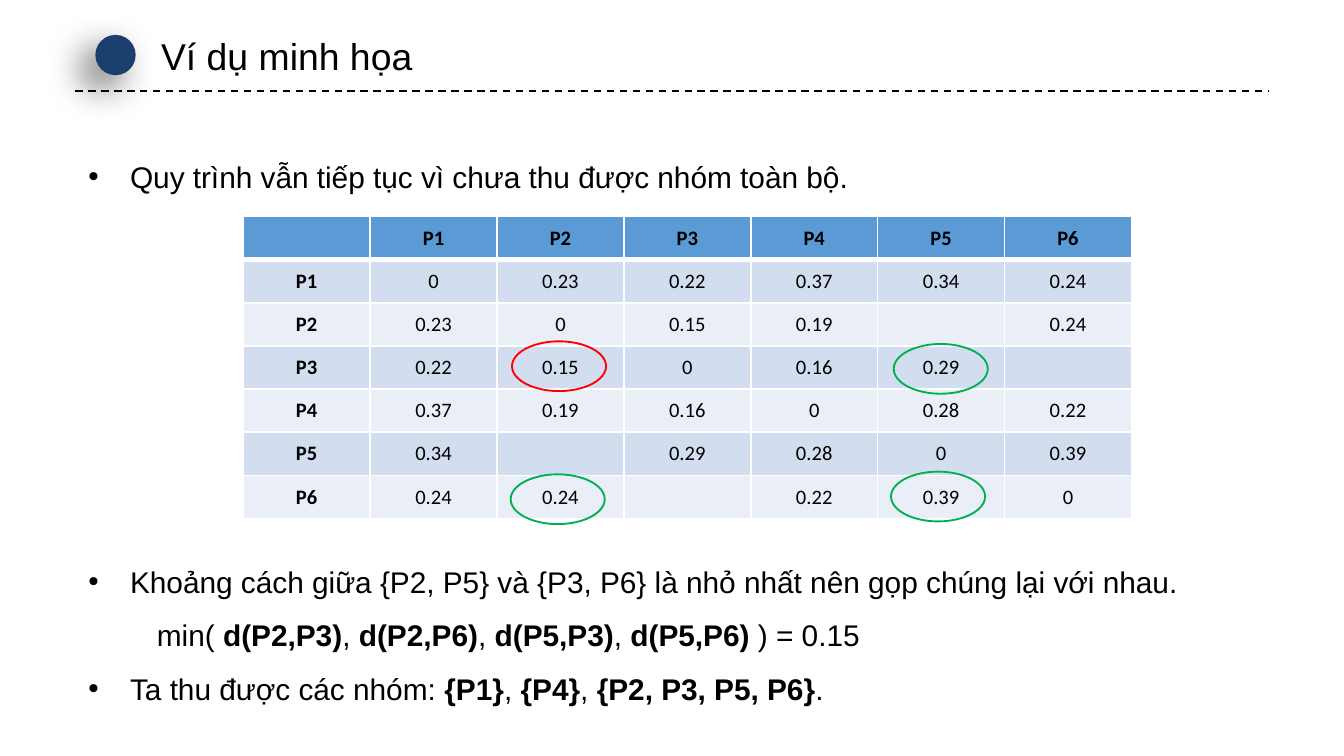
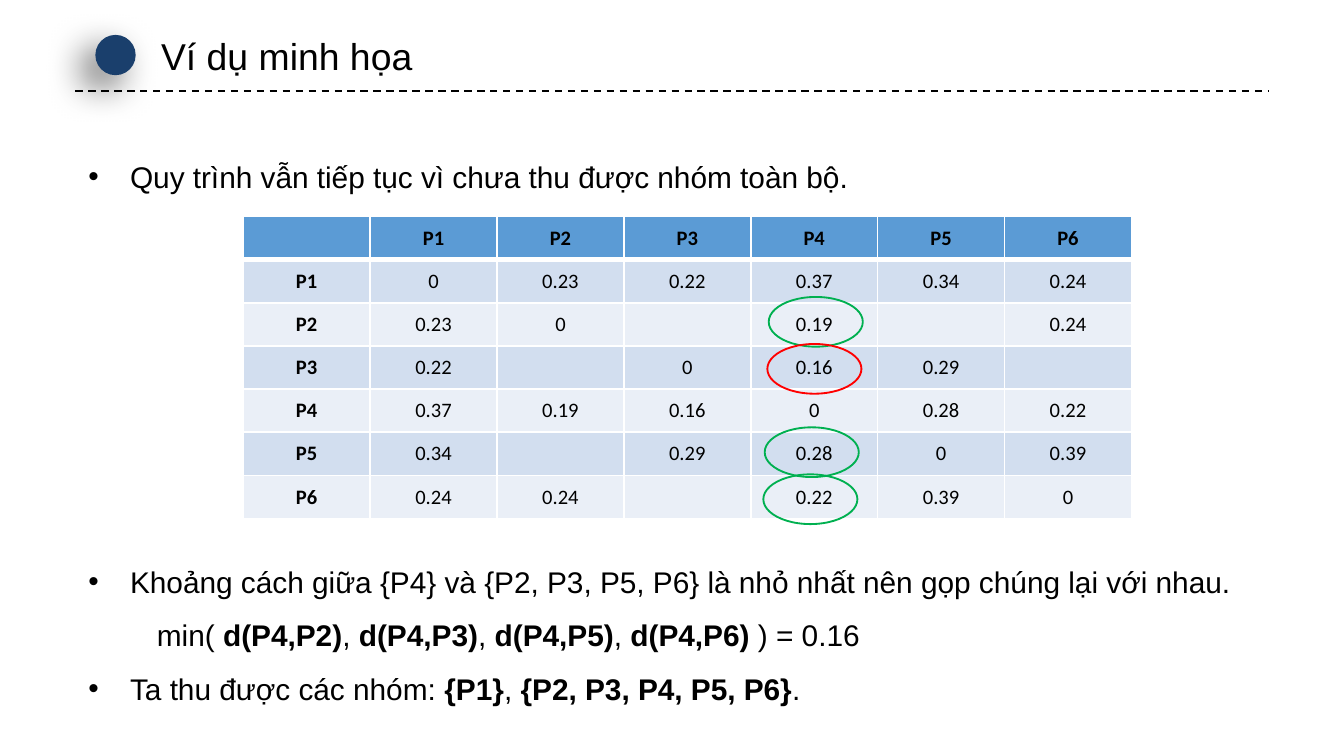
from dataclasses import dataclass

from lxml import etree
from pptx import Presentation
from pptx import util as u
from pptx.dml.color import RGBColor
from pptx.enum import dml, shapes, text
from pptx.oxml import ns

Inches, Pt = u.Inches, u.Pt


@dataclass(frozen=True)
class Theme:
    ink: str = "000000"
    navy: str = "1A3F6C"
    header: str = "5B9BD5"
    bands: tuple = ("D2DEEF", "EAEFF7")
    border: str = "FFFFFF"
    minimum: str = "FF0000"
    candidate: str = "00B050"
    body_font: str = "Arial"
    table_font: str = "Calibri"
    title_size: int = 20
    body_size: int = 16
    table_size: int = 11
    margin: float = 0.56
    content_width: float = 8.87


@dataclass(frozen=True)
class Bullet:
    """A body paragraph; asterisks enclose its bold parts."""
    content: str
    marked: bool = True


@dataclass(frozen=True)
class Ring:
    left: float
    top: float
    color: str


@dataclass(frozen=True)
class MergeStep:
    merged_pairs: tuple
    conclusions: tuple
    rings: tuple


THEME = Theme()
TITLE = "Ví dụ minh họa"
INTRO = Bullet("Quy trình vẫn tiếp tục vì chưa thu được nhóm toàn bộ.")
POINTS = ("P1", "P2", "P3", "P4", "P5", "P6")
# Each row holds the distances from one point to the points after it.
UPPER_DISTANCES = (
    ("0.23", "0.22", "0.37", "0.34", "0.24"),
    ("0.15", "0.19", "", "0.24"),
    ("0.16", "0.29", ""),
    ("0.28", "0.22"),
    ("0.39",),
)
STEPS = (
    MergeStep(
        merged_pairs=(),
        conclusions=(
            Bullet("Khoảng cách giữa {P2, P5} và {P3, P6} là nhỏ nhất nên gọp chúng lại với nhau."),
            Bullet("min( *d(P2,P3)*, *d(P2,P6)*, *d(P5,P3)*, *d(P5,P6)* ) = 0.15", marked=False),
            Bullet("Ta thu được các nhóm: *{P1}*, *{P4}*, *{P2, P3, P5, P6}*."),
        ),
        rings=(
            Ring(3.81, 2.54, THEME.minimum),
            Ring(3.8, 3.53, THEME.candidate),
            Ring(6.65, 2.56, THEME.candidate),
            Ring(6.63, 3.51, THEME.candidate),
        ),
    ),
    MergeStep(
        merged_pairs=(("P2", "P3"),),
        conclusions=(
            Bullet("Khoảng cách giữa {P4} và {P2, P3, P5, P6} là nhỏ nhất nên gọp chúng lại với nhau."),
            Bullet("min( *d(P4,P2)*, *d(P4,P3)*, *d(P4,P5)*, *d(P4,P6)* ) = 0.16", marked=False),
            Bullet("Ta thu được các nhóm: *{P1}*, *{P2, P3, P4, P5, P6}*."),
        ),
        rings=(
            Ring(5.72, 2.21, THEME.candidate),
            Ring(5.71, 2.56, THEME.minimum),
            Ring(5.69, 3.18, THEME.candidate),
            Ring(5.68, 3.53, THEME.candidate),
        ),
    ),
)


def add_element(parent, tag: str, **attributes):
    return etree.SubElement(parent, ns.qn(tag), attributes)


def style_font(font, name: str, size: int, bold: bool = False) -> None:
    font.name = name
    font.size = Pt(size)
    font.bold = bold
    font.color.rgb = RGBColor.from_string(THEME.ink)


def add_ellipse(slide, left: float, top: float, width: float, height: float):
    shape = slide.shapes.add_shape(
        shapes.MSO_SHAPE.OVAL, Inches(left), Inches(top), Inches(width), Inches(height))
    shape.shadow.inherit = False
    return shape


def add_text_frame(slide, left: float, top: float, width: float, height: float):
    box = slide.shapes.add_textbox(Inches(left), Inches(top), Inches(width), Inches(height))
    frame = box.text_frame
    frame.word_wrap = True
    frame.auto_size = text.MSO_AUTO_SIZE.SHAPE_TO_FIT_TEXT
    return frame


def add_heading(slide) -> None:
    """Draw the dashed rule, the shadowed dot and the title."""
    rule = slide.shapes.add_connector(
        shapes.MSO_CONNECTOR.STRAIGHT, Inches(THEME.margin), Inches(0.68), Inches(9.44), Inches(0.68))
    rule.line.color.rgb = RGBColor.from_string(THEME.ink)
    rule.line.width = Pt(1)
    rule.line.dash_style = dml.MSO_LINE.DASH
    add_element(rule._element.spPr, "a:effectLst")

    dot = add_ellipse(slide, 0.71, 0.26, 0.3, 0.3)
    dot.fill.solid()
    dot.fill.fore_color.rgb = RGBColor.from_string(THEME.navy)
    dot.line.fill.background()
    effects = dot._element.spPr.find(ns.qn("a:effectLst"))
    shadow = add_element(effects, "a:outerShdw", blurRad=str(Pt(20)), dist=str(Pt(10)),
                         dir=str(135 * 60000), algn="tr", rotWithShape="0")
    shadow_color = add_element(shadow, "a:srgbClr", val=THEME.ink)
    add_element(shadow_color, "a:alpha", val="60000")

    frame = add_text_frame(slide, 1.1, 0.2, 2.09, 0.44)
    frame.word_wrap = False
    frame.text = TITLE
    style_font(frame.paragraphs[0].runs[0].font, THEME.body_font, THEME.title_size)


def add_bullets(slide, top: float, height: float, bullets: tuple[Bullet, ...]) -> None:
    frame = add_text_frame(slide, THEME.margin, top, THEME.content_width, height)
    for index, bullet in enumerate(bullets):
        paragraph = frame.add_paragraph() if index else frame.paragraphs[0]
        paragraph.line_spacing = 1.5
        properties = paragraph._p.get_or_add_pPr()
        properties.set("marL", str(Inches(0.31 if bullet.marked else 0.51)))
        properties.set("indent", str(Inches(-0.31 if bullet.marked else 0)))
        if bullet.marked:
            add_element(properties, "a:buFont", typeface=THEME.body_font)
            add_element(properties, "a:buChar", char="•")
        else:
            add_element(properties, "a:buNone")
        for position, part in enumerate(bullet.content.split("*")):
            run = paragraph.add_run()
            run.text = part
            style_font(run.font, THEME.body_font, THEME.body_size, bold=position % 2 == 1)


def distance_rows(merged_pairs: tuple) -> list[list[str]]:
    """Mirror the upper distances into a labelled table, leaving merged pairs empty."""
    def distance(row: int, column: int) -> str:
        low, high = sorted((row, column))
        if low == high:
            return "0"
        if (POINTS[low], POINTS[high]) in merged_pairs:
            return ""
        return UPPER_DISTANCES[low][high - low - 1]

    count = len(POINTS)
    body = [[POINTS[row], *(distance(row, column) for column in range(count))]
            for row in range(count)]
    return [["", *POINTS], *body]


def style_cell(cell, content: str, row: int, column: int) -> None:
    properties = cell._tc.get_or_add_tcPr()
    widths = {"L": 1, "R": 1, "T": 3 if row == 1 else 1, "B": 3 if row == 0 else 1}
    for side, width in widths.items():
        line = add_element(properties, f"a:ln{side}", w=str(Pt(width)))
        add_element(add_element(line, "a:solidFill"), "a:srgbClr", val=THEME.border)
    cell.fill.solid()
    fill = THEME.bands[(row - 1) % 2] if row else THEME.header
    cell.fill.fore_color.rgb = RGBColor.from_string(fill)
    cell.vertical_anchor = text.MSO_ANCHOR.MIDDLE
    cell.margin_left = cell.margin_right = Inches(0.08)
    cell.margin_top = cell.margin_bottom = Inches(0.04)

    paragraph = cell.text_frame.paragraphs[0]
    paragraph.text = content
    paragraph.alignment = text.PP_ALIGN.CENTER
    for run in paragraph.runs:
        style_font(run.font, THEME.table_font, THEME.table_size, bold=row == 0 or column == 0)
    if not content:
        add_element(paragraph._p, "a:endParaRPr", sz=str(THEME.table_size * 100))


def add_distance_table(slide, merged_pairs: tuple) -> None:
    rows = distance_rows(merged_pairs)
    size = len(rows)
    table = slide.shapes.add_table(
        size, size, Inches(1.81), Inches(1.61), Inches(6.61), Inches(2.25)).table
    for row, values in enumerate(rows):
        for column, content in enumerate(values):
            style_cell(table.cell(row, column), content, row, column)


def add_ring(slide, ring: Ring) -> None:
    shape = add_ellipse(slide, ring.left, ring.top, 0.7, 0.37)
    shape.fill.background()
    shape.line.color.rgb = RGBColor.from_string(ring.color)
    shape.line.width = Pt(1)


def add_step_slide(presentation, step: MergeStep) -> None:
    slide = presentation.slides.add_slide(presentation.slide_layouts[6])
    add_heading(slide)
    add_bullets(slide, 1, 0.45, (INTRO,))
    add_distance_table(slide, step.merged_pairs)
    add_bullets(slide, 4.01, 1.31, step.conclusions)
    for ring in step.rings:
        add_ring(slide, ring)


def main() -> None:
    presentation = Presentation()
    presentation.slide_width = Inches(10)
    presentation.slide_height = presentation.slide_width * 9 // 16
    for step in STEPS:
        add_step_slide(presentation, step)
    presentation.save("out.pptx")


if __name__ == "__main__":
    main()
